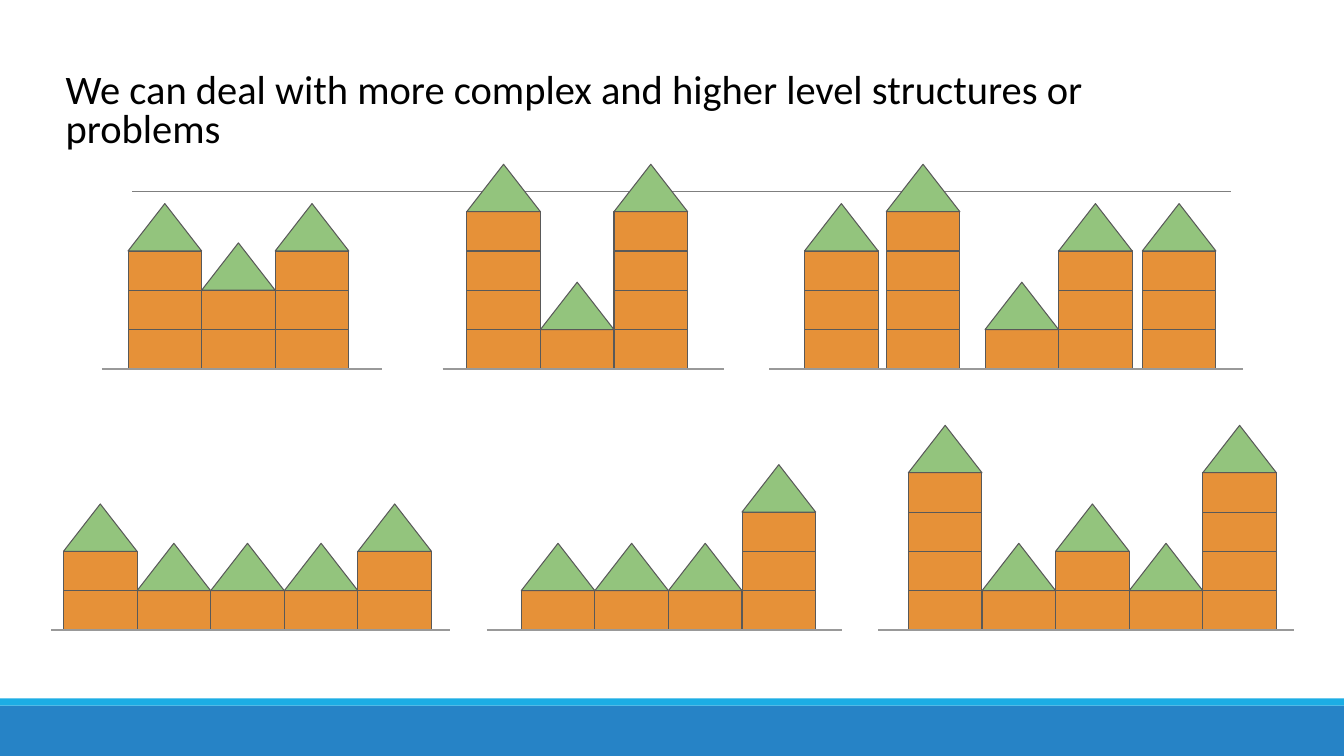
from dataclasses import dataclass

from lxml.etree import SubElement
from pptx import Presentation
from pptx.dml.color import RGBColor
from pptx.enum.shapes import MSO_CONNECTOR, MSO_SHAPE
from pptx.enum.text import MSO_ANCHOR, MSO_AUTO_SIZE, PP_ALIGN
from pptx.oxml.ns import qn
from pptx.util import Inches, Pt

WIDE, HIGH, ROOF = 0.73, 0.39, 0.47
TOP, LOW = 3.66, 6.25


@dataclass
class Run:
    left: float
    floors: tuple[int, ...]


@dataclass
class Castle:
    start: float
    end: float
    ground: float
    runs: tuple[Run, ...]


CASTLES = (
    Castle(1.01, 3.79, TOP, (Run(1.27, (3, 2, 3)),)),
    Castle(4.39, 7.18, TOP, (Run(4.63, (4, 1, 4)),)),
    Castle(7.63, 12.33, TOP, (Run(7.98, (3,)), Run(8.79, (4,)),
                              Run(9.77, (1, 3)), Run(11.33, (3,)))),
    Castle(0.51, 4.46, LOW, (Run(0.63, (2, 1, 1, 1, 2)),)),
    Castle(4.83, 8.35, LOW, (Run(5.17, (1, 1, 1, 3)),)),
    Castle(8.71, 12.83, LOW, (Run(9.01, (4, 1, 2, 1, 4)),)),
)


def paint(part, color: str) -> None:
    """Give a fill or a line one solid hex colour."""
    part.solid()
    part.fore_color.rgb = RGBColor.from_string(color)


def add_form(shapes, kind: MSO_SHAPE, box: tuple[float, ...], fill: str, edge: str = "") -> None:
    """Add a filled preset shape, outlined when an edge colour is given."""
    form = shapes.add_shape(kind, *map(Inches, box))
    form.shadow.inherit = False
    paint(form.fill, fill)
    if edge:
        paint(form.line.fill, edge)
        form.line.width = Pt(0.75)
    else:
        form.line.fill.background()


def add_rule(shapes, start: float, end: float, top: float, color: str, width: float) -> None:
    """Add a level straight line."""
    rule = shapes.add_connector(MSO_CONNECTOR.STRAIGHT, Inches(start), Inches(top),
                                Inches(end), Inches(top))
    paint(rule.line.fill, color)
    rule.line.width = Pt(width)
    SubElement(rule._element.spPr, qn("a:effectLst"))


def add_tower(shapes, left: float, ground: float, floors: int) -> None:
    """Stack blocks up from the ground and top them with a roof."""
    for floor in range(1, floors + 1):
        add_form(shapes, MSO_SHAPE.RECTANGLE, (left, ground - floor * HIGH, WIDE, HIGH),
                 "E69138", "595959")
    peak = ground - floors * HIGH - ROOF
    add_form(shapes, MSO_SHAPE.ISOSCELES_TRIANGLE, (left, peak, WIDE, ROOF), "93C47D", "595959")


def add_castle(shapes, castle: Castle) -> None:
    """Add the grouped towers of a castle and its ground line."""
    group = shapes.add_group_shape()
    for run in castle.runs:
        for index, floors in enumerate(run.floors):
            add_tower(group.shapes, run.left + index * WIDE, castle.ground, floors)
    add_rule(shapes, castle.start, castle.end, castle.ground, "999999", 1.5)


def set_title(title, text: str) -> None:
    """Place and format the title."""
    title.left, title.top, title.width, title.height = map(Inches, (0.52, 0.6, 11.9, 0.68))
    frame = title.text_frame
    frame.text = text
    frame.word_wrap = True
    frame.auto_size = MSO_AUTO_SIZE.NONE
    frame.vertical_anchor = MSO_ANCHOR.TOP
    frame.margin_left = frame.margin_right = Inches(0.13)
    frame.margin_top = frame.margin_bottom = Inches(0.13)
    para = frame.paragraphs[0]
    para.alignment = PP_ALIGN.LEFT
    para.line_spacing = 0.8
    para.space_before = Pt(0)
    para.font.name = "Calibri"
    para.font.size = Pt(28.9)
    para.font.color.rgb = RGBColor.from_string("000000")


def main() -> None:
    """Build and save the slide."""
    deck = Presentation()
    deck.slide_width, deck.slide_height = Inches(13.33), Inches(7.5)
    shapes = deck.slides.add_slide(deck.slide_layouts[5]).shapes
    set_title(shapes.title, "We can deal with more complex and higher level structures or problems")
    add_form(shapes, MSO_SHAPE.RECTANGLE, (0, 7, 13.33, 0.5), "2683C6")
    add_form(shapes, MSO_SHAPE.RECTANGLE, (0, 6.93, 13.33, 0.07), "1CADE4")
    add_rule(shapes, 1.31, 12.21, 1.9, "7F7F7F", 0.75)
    for castle in CASTLES:
        add_castle(shapes, castle)
    deck.save("out.pptx")


if __name__ == "__main__":
    main()
